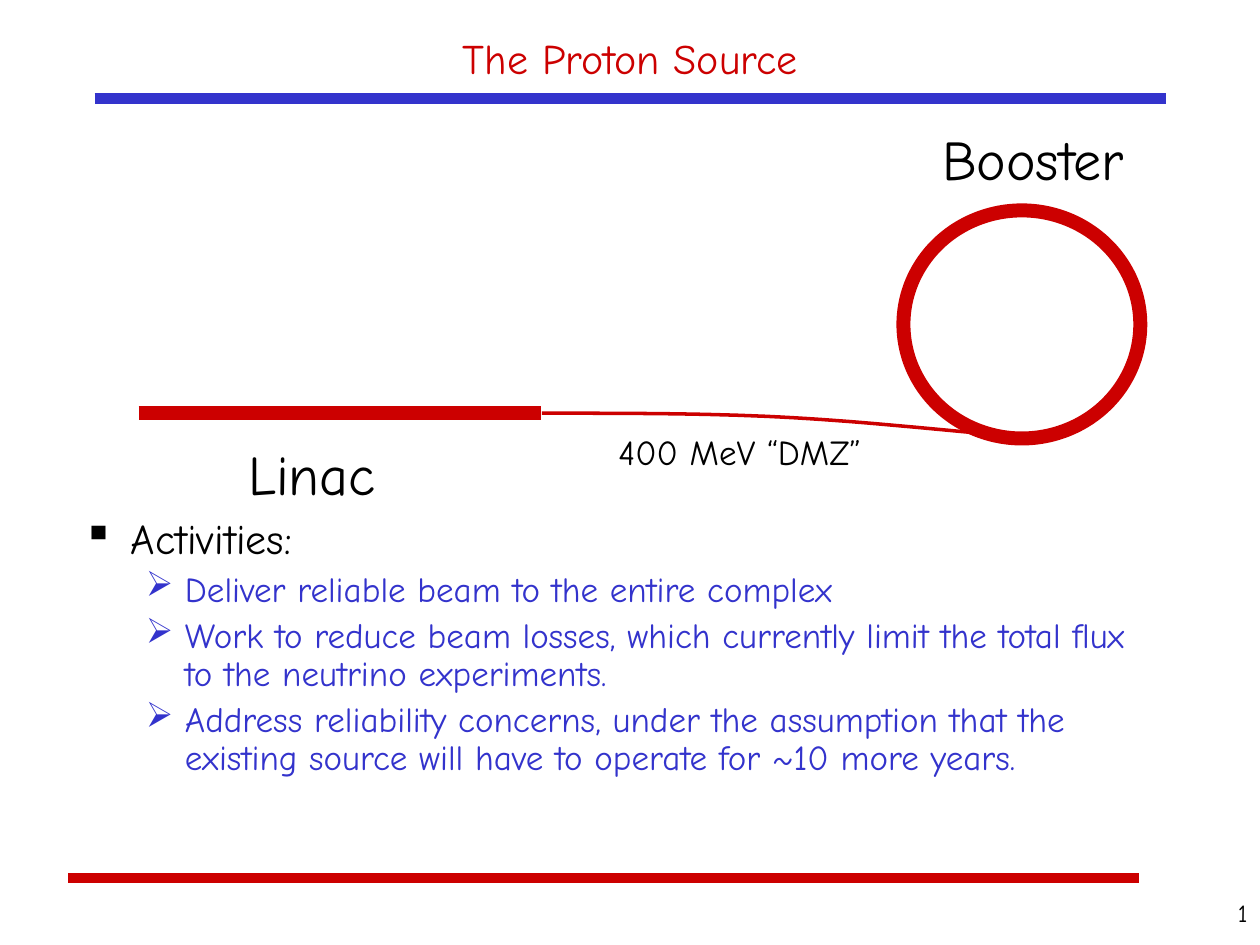
from lxml import etree
from pptx import Presentation
from pptx.dml.color import RGBColor
from pptx.enum.shapes import MSO_CONNECTOR, MSO_SHAPE
from pptx.enum.text import MSO_ANCHOR, PP_ALIGN
from pptx.oxml.ns import qn
from pptx.util import Inches, Pt

RED = RGBColor(0xCC, 0x00, 0x00)
BLUE = RGBColor(0x33, 0x33, 0xCC)
BLACK = RGBColor(0x00, 0x00, 0x00)
FONT = "Comic Neue"
LEFT, CENTER, RIGHT = PP_ALIGN.LEFT, PP_ALIGN.CENTER, PP_ALIGN.RIGHT
TOP, MIDDLE = MSO_ANCHOR.TOP, MSO_ANCHOR.MIDDLE
STRAIGHT = MSO_CONNECTOR.STRAIGHT
OVAL = MSO_SHAPE.OVAL

TASKS = (
    "Deliver reliable beam to the entire complex",
    "Work to reduce beam losses, which currently limit the total flux "
    "to the neutrino experiments.",
    "Address reliability concerns, under the assumption that the "
    "existing source will have to operate for ~10 more years.",
)
LABELS = (
    ("Linac", (1.87, 3.44, 1.32, 0.64), 32),
    ("Booster", (7.38, 0.94, 1.97, 0.64), 32),
    ("400 MeV “DMZ”", (4.81, 3.37, 2.36, 0.44), 20),
)
BEAM = (
    ((4.3, 3.28), (4.94, 3.28), (5.59, 3.28), (6.19, 3.31)),
    ((6.19, 3.31), (6.78, 3.34), (7.34, 3.4), (7.9, 3.45)),
)


def write(para, text, size=24, color=BLACK, align=LEFT, mark=None,
          left=0, hang=0, before=0, space=None):
    """Fill a paragraph with text in the given format."""
    props = para._p.get_or_add_pPr()
    if mark:
        props.set("marL", str(Inches(left)))
        props.set("indent", str(-Inches(hang)))
        etree.SubElement(props, qn("a:buChar")).set("char", mark)
    para.alignment = align
    para.space_before = Pt(before)
    if space:
        para.line_spacing = space
    run = para.add_run()
    run.text = text
    run.font.name = FONT
    run.font.size = Pt(size)
    run.font.color.rgb = color


def curve(parts, steps=16):
    """Return points along a chain of cubic curves, in EMU."""
    points = []
    for part in parts:
        for step in range(steps + 1):
            t = step / steps
            u = 1 - t
            gains = (u ** 3, 3 * u * u * t, 3 * u * t * t, t ** 3)
            points.append(tuple(
                Inches(sum(g * v for g, v in zip(gains, axis)))
                for axis in zip(*part)))
    return points


class Sheet:
    """Hold the slide and the line style, and draw each kind of element."""

    def __init__(self, slide, color):
        self.shapes = slide.shapes
        self.color = color

    def stroke(self, shape, width, color=None):
        shape.line.color.rgb = color or self.color
        shape.line.width = Pt(width)

    def line(self, x, y, end, width, color=None):
        rule = self.shapes.add_connector(
            STRAIGHT, Inches(x), Inches(y), Inches(end), Inches(y))
        self.stroke(rule, width, color)
        etree.SubElement(rule._element.spPr, qn("a:effectLst"))

    def ring(self, box, width):
        ring = self.shapes.add_shape(OVAL, *map(Inches, box))
        ring.shadow.inherit = False
        ring.fill.background()
        self.stroke(ring, width)

    def arrow(self, parts, width):
        start, *rest = curve(parts)
        form = self.shapes.build_freeform(*start)
        form.add_line_segments(rest, close=False)
        arrow = form.convert_to_shape()
        arrow.shadow.inherit = False
        arrow.fill.background()
        self.stroke(arrow, width)
        tail = etree.SubElement(arrow.line._get_or_add_ln(), qn("a:tailEnd"))
        tail.set("type", "triangle")

    def frame(self, box, anchor=TOP, wrap=True):
        frame = self.shapes.add_textbox(*map(Inches, box)).text_frame
        frame.word_wrap = wrap
        frame.vertical_anchor = anchor
        return frame

    def text(self, text, box, anchor=TOP, wrap=True, **style):
        write(self.frame(box, anchor, wrap).paragraphs[0], text, **style)

    def points(self, head, items, box):
        frame = self.frame(box)
        write(frame.paragraphs[0], head, mark="▪",
              left=0.38, hang=0.38, space=0.9)
        for item in items:
            write(frame.add_paragraph(), item, size=20, color=BLUE, mark="➢",
                  left=0.81, hang=0.31, before=5, space=0.9)


def main():
    deck = Presentation()
    deck.slide_width, deck.slide_height = Inches(10), Inches(7.5)
    sheet = Sheet(deck.slides.add_slide(deck.slide_layouts[6]), RED)
    sheet.line(0.54, 6.97, 9.04, 6)
    sheet.line(0.75, 0.78, 9.25, 6, BLUE)
    sheet.text("The Proton Source", (0.75, 0.17, 8.5, 0.58), MIDDLE,
               color=RED, align=CENTER)
    sheet.points("Activities:", TASKS, (0.56, 4.06, 8.5, 2.68))
    sheet.ring((7.17, 1.67, 1.88, 1.81), 8)
    sheet.line(1.1, 3.28, 4.29, 8)
    sheet.arrow(BEAM, 2)
    for text, box, size in LABELS:
        sheet.text(text, box, wrap=False, size=size)
    sheet.text("1", (9.08, 7.08, 0.92, 0.42), size=14, align=RIGHT)
    deck.save("out.pptx")


if __name__ == "__main__":
    main()
